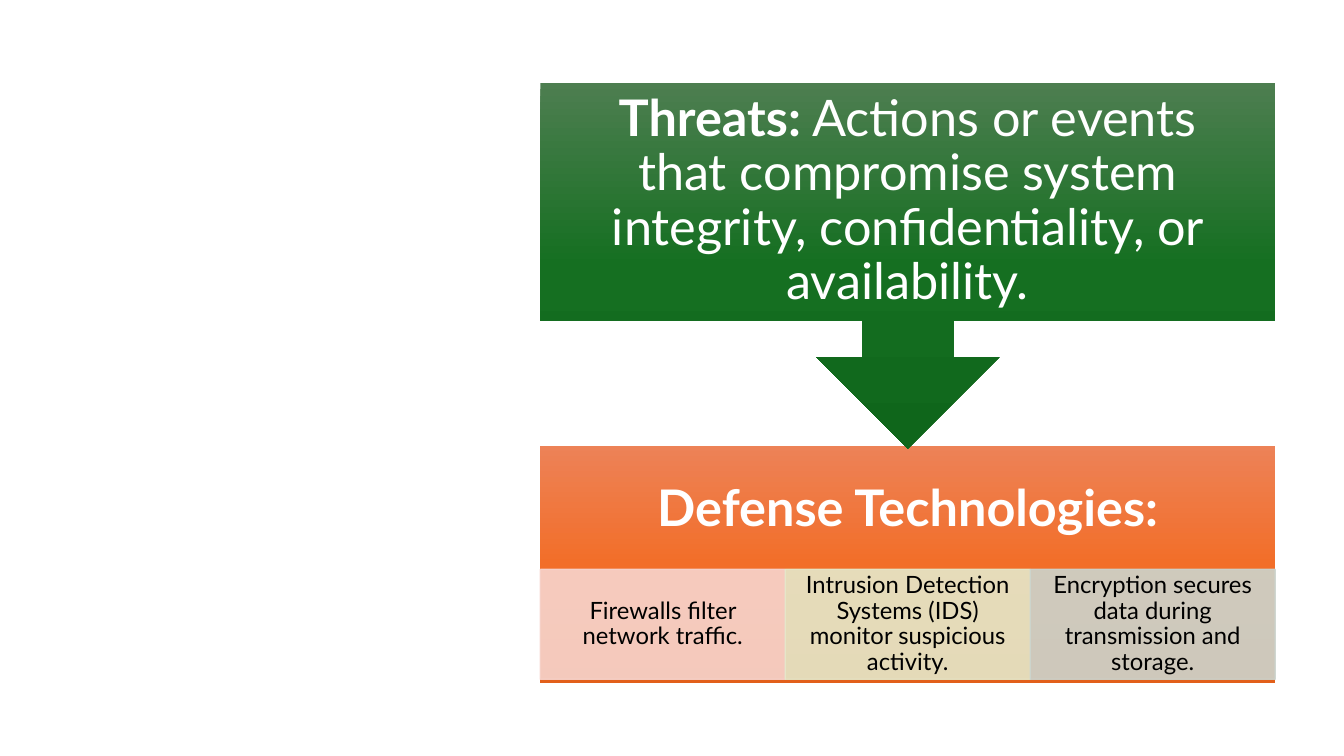
from dataclasses import dataclass

from lxml.etree import SubElement
from pptx import Presentation
from pptx.dml.color import RGBColor
from pptx.enum.shapes import MSO_SHAPE
from pptx.enum.text import MSO_ANCHOR, PP_ALIGN
from pptx.oxml import parse_xml
from pptx.oxml.ns import nsdecls, qn
from pptx.util import Inches, Pt

WIDE, HIGH = Inches(13.333), Inches(7.5)
FONT = "Lato"
HEX = {
    "green top": "4D7E50", "green mid": "156F21", "green end": "0F661B",
    "fire top": "ED8257", "fire mid": "F26E29", "fire end": "E25F1A",
    "rose": "F7D5CE", "lime": "E5E8CA", "sage": "CCD4CD",
    "white": "FFFFFF", "black": "000000",
}


@dataclass(frozen=True)
class Area:
    left: float
    top: float
    width: float
    height: float

    def place(self) -> tuple[int, int, int, int]:
        return (int(WIDE * self.left / 100), int(HIGH * self.top / 100),
                int(WIDE * self.width / 100), int(HIGH * self.height / 100))


@dataclass(frozen=True)
class Block:
    kind: MSO_SHAPE
    hue: str
    area: Area
    label: Area
    runs: tuple[tuple[str, bool], ...]
    turn: int = 0


@dataclass(frozen=True)
class Cell:
    hue: str
    text: str


LEFT, SPAN = 40.2, 54.68
BODY = 31.47
UPPER, LOWER = 10.93, 58.93

BLOCKS = (
    Block(MSO_SHAPE.RECTANGLE, "fire",
          Area(LEFT, LOWER, SPAN, BODY), Area(LEFT, LOWER, SPAN, 17.07),
          (("Defense Technologies:", True),)),
    Block(MSO_SHAPE.UP_ARROW_CALLOUT, "green",
          Area(LEFT, UPPER, SPAN, 48.4), Area(LEFT, UPPER, SPAN, BODY),
          (("Threats:", True),
           (" Actions or events that compromise system integrity, "
            "confidentiality, or availability.", False)), turn=180),
)
CELLS = (
    Cell("rose", "Firewalls filter network traffic."),
    Cell("lime", "Intrusion Detection Systems (IDS) monitor suspicious activity."),
    Cell("sage", "Encryption secures data during transmission and storage."),
)


def color(name: str) -> RGBColor:
    return RGBColor.from_string(HEX[name])


def write(slide, area: Area, runs, *, size: float, hue: str,
          side: float, edge: float) -> None:
    frame = slide.shapes.add_textbox(*area.place()).text_frame
    frame.word_wrap = True
    frame.vertical_anchor = MSO_ANCHOR.MIDDLE
    frame.margin_left = frame.margin_right = Inches(side)
    frame.margin_top = frame.margin_bottom = Inches(edge)
    line = frame.paragraphs[0]
    line.alignment = PP_ALIGN.CENTER
    line.line_spacing = 0.9
    for text, bold in runs:
        run = line.add_run()
        run.text = text
        run.font.name = FONT
        run.font.size = Pt(size)
        run.font.bold = bold
        run.font.color.rgb = color(hue)


def shade(shape, hue: str) -> None:
    shape.fill.background()
    stops = "".join(
        f'<a:gs pos="{spot * 1000}"><a:srgbClr val="{HEX[f"{hue} {part}"]}"/></a:gs>'
        for spot, part in ((0, "top"), (50, "mid"), (100, "end")))
    blank = shape.element.spPr.find(qn("a:noFill"))
    blank.getparent().replace(blank, parse_xml(
        f'<a:gradFill {nsdecls("a")} rotWithShape="0"><a:gsLst>{stops}</a:gsLst>'
        '<a:lin ang="5400000" scaled="0"/></a:gradFill>'))
    shape.line.fill.background()


def tint(shape, hue: str) -> None:
    shape.fill.solid()
    shape.fill.fore_color.rgb = color(hue)
    shape.line.color.rgb = color(hue)
    shape.line.width = Pt(1)
    for mark in shape.element.spPr.iter(qn("a:srgbClr")):
        SubElement(mark, qn("a:alpha"), val="90000")


def draw_block(slide, block: Block) -> None:
    shape = slide.shapes.add_shape(block.kind, *block.area.place())
    shape.shadow.inherit = False
    shape.rotation = block.turn
    shade(shape, block.hue)
    write(slide, block.label, block.runs, size=36, hue="white", side=0.28, edge=0.28)


def draw_cell(slide, cell: Cell, area: Area) -> None:
    shape = slide.shapes.add_shape(MSO_SHAPE.RECTANGLE, *area.place())
    shape.shadow.inherit = False
    tint(shape, cell.hue)
    write(slide, area, ((cell.text, False),), size=17, hue="black", side=0.13, edge=0.02)


def main() -> None:
    deck = Presentation()
    deck.slide_width, deck.slide_height = WIDE, HIGH
    slide = deck.slides.add_slide(deck.slide_layouts[6])
    defense, threats = BLOCKS
    draw_block(slide, defense)
    step = SPAN / len(CELLS)
    for col, cell in enumerate(CELLS):
        draw_cell(slide, cell, Area(LEFT + col * step, 75.33, step, 14.53))
    draw_block(slide, threats)
    deck.save("out.pptx")


if __name__ == "__main__":
    main()
